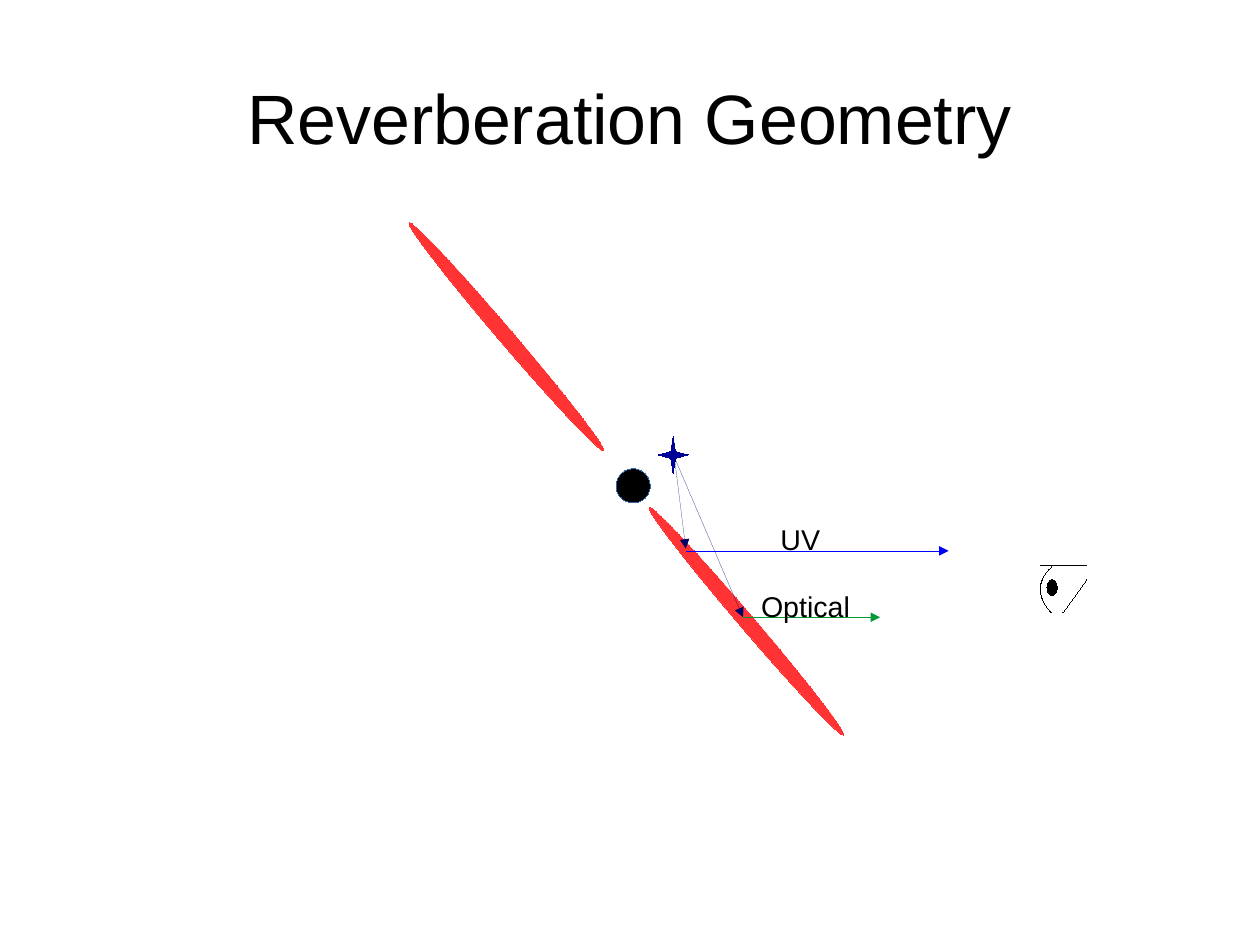
from lxml import etree
from pptx import Presentation
from pptx.dml.color import RGBColor
from pptx.enum.shapes import MSO_CONNECTOR, MSO_SHAPE
from pptx.enum.text import MSO_ANCHOR, MSO_AUTO_SIZE, PP_ALIGN
from pptx.oxml.ns import qn
from pptx.util import Inches, Pt

BLACK = RGBColor(0x00, 0x00, 0x00)
DISK_RED = RGBColor(0xFF, 0x33, 0x33)
STAR_BLUE = RGBColor(0x00, 0x00, 0x99)
RAY_NAVY = RGBColor(0x00, 0x00, 0x66)
UV_BLUE = RGBColor(0x00, 0x00, 0xFF)
OPTICAL_GREEN = RGBColor(0x00, 0x99, 0x33)
HOLE_EDGE = RGBColor(0x34, 0x65, 0xA4)

FONT = "Arial"
DISK_TILT = 49.5
CM_PER_INCH = 2.54


def style_font(paragraph, size):
    paragraph.font.name = FONT
    paragraph.font.size = Pt(size)
    paragraph.font.color.rgb = BLACK


def style_hairline(shape, color):
    shape.line.color.rgb = color
    # A width of zero has to be written out, or the theme's width applies
    outline = shape._element.spPr.find(qn("a:ln"))
    outline.set("w", "0")
    return outline


def set_title(slide, text):
    title = slide.shapes.title
    title.left, title.top = Inches(0.55), Inches(0.33)
    title.width, title.height = Inches(9.92), Inches(1.38)
    frame = title.text_frame
    frame.text = text
    frame.auto_size = MSO_AUTO_SIZE.NONE
    frame.vertical_anchor = MSO_ANCHOR.MIDDLE
    frame.margin_left = frame.margin_right = 0
    frame.margin_top = frame.margin_bottom = 0
    paragraph = frame.paragraphs[0]
    paragraph.alignment = PP_ALIGN.CENTER
    style_font(paragraph, 44)


def add_ellipse(slide, left, top, width, height, fill, edge, rotation=0):
    shape = slide.shapes.add_shape(
        MSO_SHAPE.OVAL, Inches(left), Inches(top), Inches(width), Inches(height))
    shape.shadow.inherit = False
    shape.rotation = rotation
    shape.fill.solid()
    shape.fill.fore_color.rgb = fill
    style_hairline(shape, edge)


def add_outline(slide, points, color, closed):
    corners = [(Inches(x), Inches(y)) for x, y in points]
    builder = slide.shapes.build_freeform(*corners[0])
    builder.add_line_segments(corners[1:], close=closed)
    shape = builder.convert_to_shape()
    shape.shadow.inherit = False
    if closed:
        shape.fill.solid()
        shape.fill.fore_color.rgb = color
    else:
        shape.fill.background()
    style_hairline(shape, color)


def add_star(slide, x, y):
    reach_x, reach_y, notch_x, notch_y = 0.13, 0.16, 0.02, 0.03
    offsets = [(-reach_x, 0), (-notch_x, -notch_y), (0, -reach_y), (notch_x, -notch_y)]
    offsets += [(-dx, -dy) for dx, dy in offsets]
    add_outline(slide, [(x + dx, y + dy) for dx, dy in offsets], STAR_BLUE, True)


def add_line(slide, start, end, color, arrow=False):
    line = slide.shapes.add_connector(
        MSO_CONNECTOR.STRAIGHT, *(Inches(value) for value in start + end))
    outline = style_hairline(line, color)
    if arrow:
        etree.SubElement(outline, qn("a:tailEnd"), type="triangle")
    etree.SubElement(line._element.spPr, qn("a:effectLst"))


def add_label(slide, text, left, top, width):
    box = slide.shapes.add_textbox(
        Inches(left), Inches(top), Inches(width), Inches(0.38))
    frame = box.text_frame
    frame.text = text
    frame.word_wrap = False
    frame.auto_size = MSO_AUTO_SIZE.SHAPE_TO_FIT_TEXT
    style_font(frame.paragraphs[0], 18)


def add_eye(slide):
    # Eyelids
    add_line(slide, (9.1, 4.95), (9.51, 4.95), BLACK)
    add_line(slide, (9.3, 5.36), (9.51, 5.07), BLACK)

    # Cornea: a cubic curve sampled in equal steps
    steps = 24
    cornea = []
    for step in range(steps + 1):
        t = step / steps
        x = 9.2 - 0.66 * t * (1 - t) ** 2
        y = 4.96 + 0.6 * t * (1 - t) ** 2 + 1.2 * t ** 2 * (1 - t) + 0.4 * t ** 3
        cornea.append((x, y))
    add_outline(slide, cornea, BLACK, False)

    # Pupil
    add_ellipse(slide, 9.16, 5.07, 0.09, 0.14, BLACK, BLACK)


def main():
    # Slide of 28 by 21 cm
    presentation = Presentation()
    presentation.slide_width = Inches(28 / CM_PER_INCH)
    presentation.slide_height = Inches(21 / CM_PER_INCH)
    slide = presentation.slides.add_slide(presentation.slide_layouts[5])
    set_title(slide, "Reverberation Geometry")

    # Black hole and both halves of the tilted disk
    add_ellipse(slide, 5.39, 4.1, 0.3, 0.3, BLACK, HOLE_EDGE)
    for left, top in [(5.22, 5.37), (3.12, 2.88)]:
        add_ellipse(slide, left, top, 2.62, 0.13, DISK_RED, DISK_RED, DISK_TILT)

    # Light source
    add_star(slide, 5.89, 3.98)

    # Rays to the disk and on to the observer
    source = (5.9, 4)
    add_line(slide, source, (6, 4.8), RAY_NAVY, arrow=True)
    add_line(slide, (6, 4.82), (8.3, 4.82), UV_BLUE, arrow=True)
    add_line(slide, source, (6.5, 5.4), RAY_NAVY, arrow=True)
    add_line(slide, (6.5, 5.4), (7.7, 5.4), OPTICAL_GREEN, arrow=True)
    add_label(slide, "UV", 6.73, 4.52, 0.56)
    add_label(slide, "Optical", 6.56, 5.1, 0.98)

    # Observer
    add_eye(slide)

    presentation.save("out.pptx")


if __name__ == "__main__":
    main()
